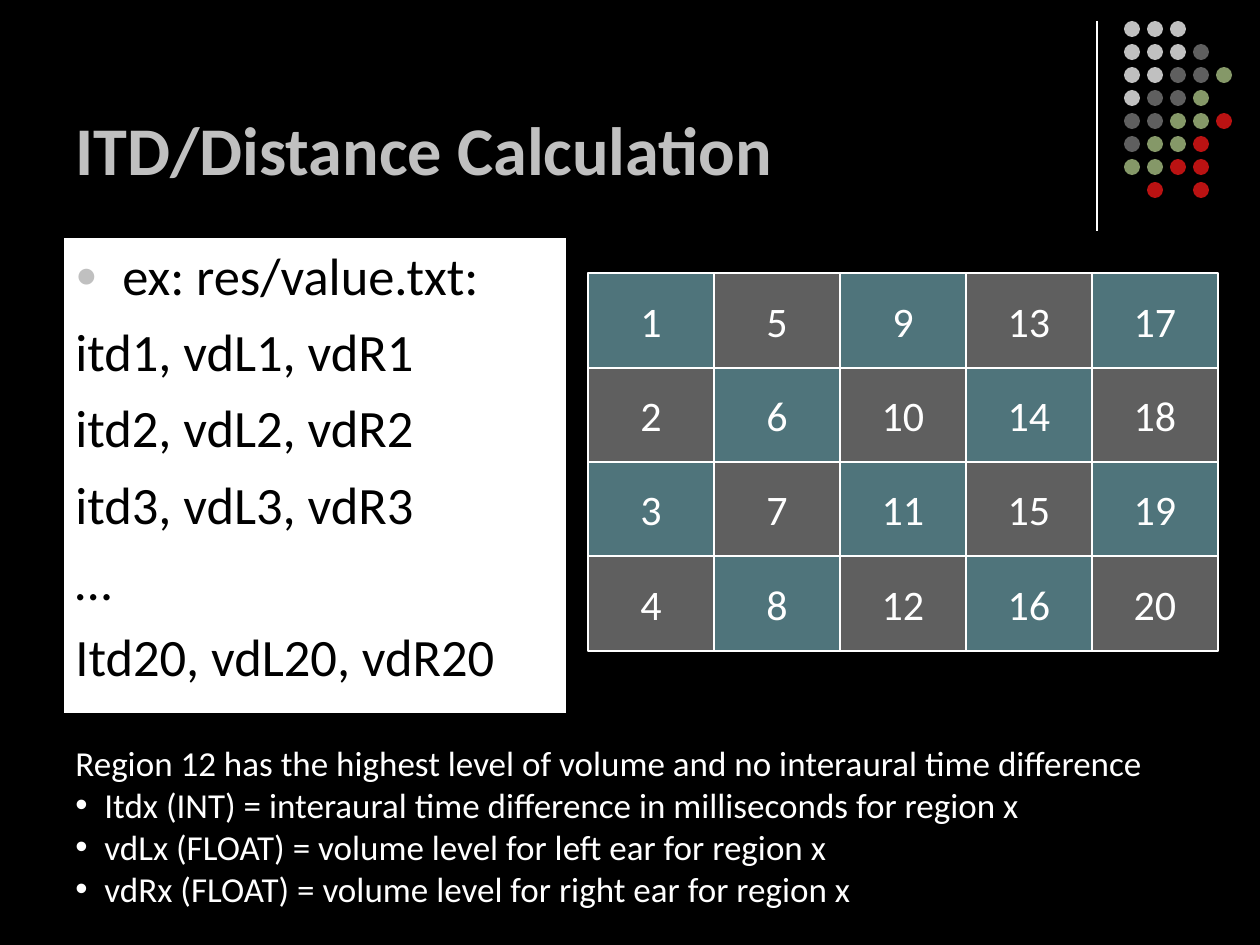
import pptx
import pptx.util
import pptx.dml.color
import pptx.enum.shapes
import pptx.enum.text
import pptx.oxml.ns
import lxml.etree

PX = 914400 // 126
FONT = "Calibri"
WHITE, BLACK, SILVER = "FFFFFF", "000000", "C0C0C0"
GRAY, TEAL, GREEN, RED = "5F5F5F", "4F747B", "859868", "BA1212"

# Content
TITLE = "ITD/Distance Calculation"
FILE = [
    ("ex: res/value.txt:", "●"),
    ("itd1, vdL1, vdR1", None),
    ("itd2, vdL2, vdR2", None),
    ("itd3, vdL3, vdR3", None),
    ("…", None),
    ("Itd20, vdL20, vdR20", None),
]
NOTES = [
    ("Region 12 has the highest level of volume and no interaural time difference", None),
    ("Itdx (INT) = interaural time difference in milliseconds for region x", "•"),
    ("vdLx (FLOAT) = volume level for left ear for region x", "•"),
    ("vdRx (FLOAT) = volume level for right ear for region x", "•"),
]
DOTS = ["sss", "sssg", "ssggn", "sggn", "ggnnr", "gnnr", "nnrr", " r r"]
TONES = {"s": SILVER, "g": GRAY, "n": GREEN, "r": RED}
ROWS, COLS = 4, 5

SHAPE = pptx.enum.shapes.MSO_SHAPE
ALIGN = pptx.enum.text.PP_ALIGN
ANCHOR = pptx.enum.text.MSO_ANCHOR

deck = pptx.Presentation()
deck.slide_width, deck.slide_height = 1260 * PX, 945 * PX
slide = deck.slides.add_slide(deck.slide_layouts[6])


def rgb(code):
    return pptx.dml.color.RGBColor.from_string(code)


def add_mark(para, char, color, size):
    """Give a paragraph a bullet."""
    props = para._p.get_or_add_pPr()

    def sub(parent, tag, **attrs):
        return lxml.etree.SubElement(parent, pptx.oxml.ns.qn(tag), **attrs)

    sub(sub(props, "a:buClr"), "a:srgbClr", val=color)
    sub(props, "a:buSzPct", val=str(size * 1000))
    sub(props, "a:buFont", typeface="Arial")
    sub(props, "a:buChar", char=char)


def put_text(shape, lines, size=20, color=WHITE, bold=False, align=ALIGN.LEFT,
             anchor=ANCHOR.TOP, wrap=True, before=0, hang=0, hang_all=False,
             mark=WHITE, mark_size=100):
    """Fill a shape with (text, bullet) lines."""
    frame = shape.text_frame
    frame.word_wrap, frame.vertical_anchor = wrap, anchor
    for i, (text, char) in enumerate(lines):
        para = frame.paragraphs[0] if i == 0 else frame.add_paragraph()
        para.alignment = align
        para.space_before = pptx.util.Pt(before)
        if char or hang_all:
            props = para._p.get_or_add_pPr()
            props.set("marL", str(hang * PX))
            props.set("indent", str(-hang * PX))
        if char:
            add_mark(para, char, mark, mark_size)
        run = para.add_run()
        run.text = text
        run.font.name, run.font.size = FONT, pptx.util.Pt(size)
        run.font.bold, run.font.color.rgb = bold, rgb(color)


def add_box(x, y, w, h, fill=None, line=None, kind=SHAPE.RECTANGLE):
    shape = slide.shapes.add_shape(kind, x * PX, y * PX, w * PX, h * PX)
    shape.shadow.inherit = False
    if fill:
        shape.fill.solid()
        shape.fill.fore_color.rgb = rgb(fill)
    else:
        shape.fill.background()
    if line:
        shape.line.color.rgb = rgb(line)
        shape.line.width = pptx.util.Pt(0.75)
    else:
        shape.line.fill.background()
    return shape


def add_label(x, y, w, h):
    return slide.shapes.add_textbox(x * PX, y * PX, w * PX, h * PX)


# Background
slide.background.fill.solid()
slide.background.fill.fore_color.rgb = rgb(BLACK)

# Corner rule and dots
rule = slide.shapes.add_connector(
    pptx.enum.shapes.MSO_CONNECTOR.STRAIGHT, 1097 * PX, 21 * PX, 1097 * PX, 231 * PX)
rule.line.color.rgb = rgb(WHITE)
rule.line.width = pptx.util.Pt(0.75)
lxml.etree.SubElement(rule._element.spPr, pptx.oxml.ns.qn("a:effectLst"))
for row, keys in enumerate(DOTS):
    for col, key in enumerate(keys):
        if key in TONES:
            add_box(1124 + 23 * col, 21 + 23 * row, 16, 16, TONES[key], kind=SHAPE.OVAL)

# Title
put_text(add_label(63, 16, 1040, 179), [(TITLE, None)], size=39, color=SILVER,
         bold=True, anchor=ANCHOR.BOTTOM)

# File listing
put_text(add_box(63, 237, 504, 477, WHITE, BLACK), FILE, size=30, color=BLACK,
         before=7.5, hang=47, hang_all=True, mark=SILVER, mark_size=70)

# Region grid, numbered down each column
left, top, wide, high = 588, 273, 126, 94.5
for col in range(COLS):
    for row in range(ROWS):
        y = round(top + high * row)
        cell = add_box(left + wide * col, y, wide, round(top + high * (row + 1)) - y,
                       GRAY if (row + col) % 2 else TEAL, WHITE)
        put_text(cell, [(str(col * ROWS + row + 1), None)], size=24,
                 align=ALIGN.CENTER, anchor=ANCHOR.MIDDLE, wrap=False)

# Notes
put_text(add_label(63, 735, 1155, 181), NOTES, hang=29)

deck.save("out.pptx")
